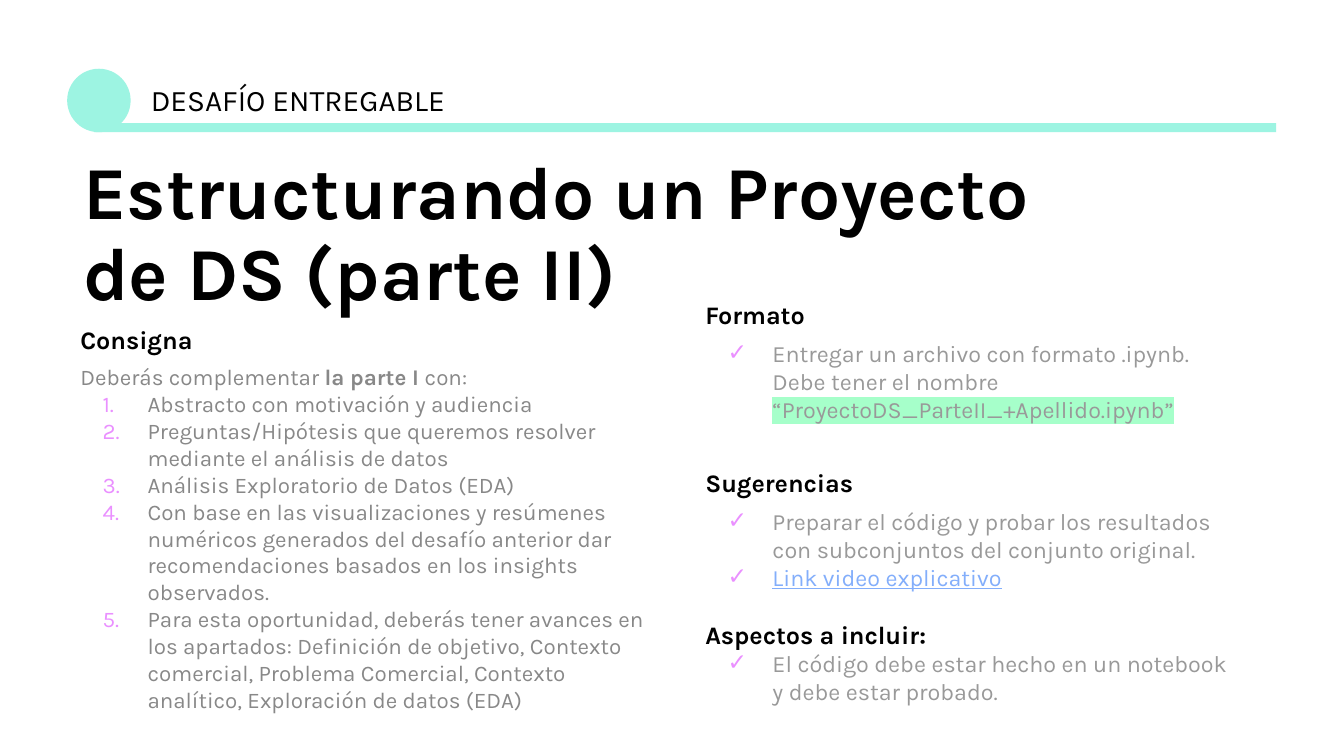
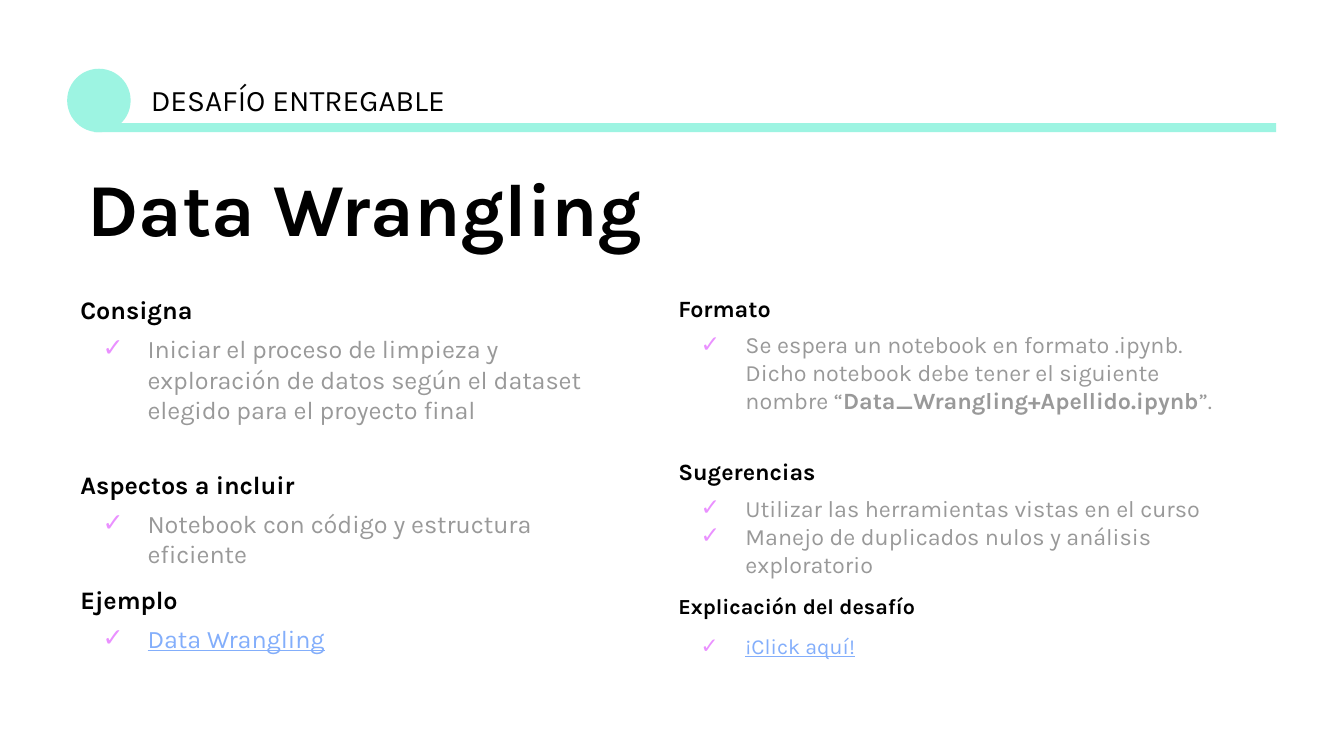
from lxml import etree
from pptx import Presentation
from pptx import util as u
from pptx.dml.color import RGBColor
from pptx.enum import shapes
from pptx.oxml import ns

MINT = RGBColor(0x9D, 0xF4, 0xE2)
PINK = RGBColor(0xEA, 0x90, 0xFF)
LIME = RGBColor(0xA6, 0xFF, 0xCA)
BLUE = RGBColor(0x83, 0xAE, 0xFB)
BLACK = RGBColor(0, 0, 0)
DARK = RGBColor(0x88, 0x88, 0x88)
GREY = RGBColor(0x99, 0x99, 0x99)
FONT = "Karla"


def add_tag(parent, tag, **attrs):
    return etree.SubElement(parent, ns.qn(tag), attrs)


def add_text(slide, place, lines):
    """Each line: kind, text, size, colour, space before; *...* is the stressed part."""
    frame = slide.shapes.add_textbox(*[u.Cm(n) for n in place]).text_frame
    frame.word_wrap = True
    frame.margin_left = frame.margin_right = u.Cm(0.25)
    frame.margin_top = frame.margin_bottom = u.Cm(0.25)
    for i, (kind, words, size, color, gap) in enumerate(lines):
        para = frame.paragraphs[0] if i == 0 else frame.add_paragraph()
        if kind in ("check", "mark", "link", "number"):
            props = para._p.get_or_add_pPr()
            props.set("marL", str(u.Cm(1.27)))
            props.set("indent", str(u.Cm(-0.85)))
            add_tag(add_tag(props, "a:buClr"), "a:srgbClr", val=str(PINK))
            add_tag(props, "a:buFont", typeface=FONT)
            if kind == "number":
                add_tag(props, "a:buAutoNum", type="arabicPeriod")
            else:
                add_tag(props, "a:buChar", char="✓")
        if gap:
            para.space_before = u.Pt(gap)
        if kind == "title":
            para.line_spacing = 0.9
        font = para.font
        font.name, font.size = FONT, u.Pt(size)
        font.color.rgb = color
        font.underline = kind == "link"
        parts = words.split("*")
        if len(parts) == 1:
            font.bold = kind in ("title", "head")
        for j, part in enumerate(parts):
            if not part:
                continue
            run = para.add_run()
            run.text = part
            if kind == "mark" and j % 2:
                light = add_tag(run._r.get_or_add_rPr(), "a:highlight")
                add_tag(light, "a:srgbClr", val=str(LIME))
            elif len(parts) > 1 and kind != "mark":
                run.font.bold = j % 2 == 1


# Content: title, its place, then the text columns
pages = [
    ("Estructurando un Proyecto de DS (parte II)", (1.32, 2.69, 20.29, 3.58), [
        ((1.27, 5.89, 11.3, 8.46), [
            ("head", "Consigna", 13.5, BLACK, 0),
            ("plain", "Deberás complementar *la parte I *con:", 12, DARK, 4.5),
            ("number", "Abstracto con motivación y audiencia", 12, DARK, 0),
            ("number", "Preguntas/Hipótesis que queremos resolver mediante el "
             "análisis de datos", 12, DARK, 0),
            ("number", "Análisis Exploratorio de Datos (EDA)", 12, DARK, 0),
            ("number", "Con base en las visualizaciones y resúmenes numéricos "
             "generados del desafío anterior dar recomendaciones basados en los "
             "insights observados.", 12, DARK, 0),
            ("number", "Para esta oportunidad, deberás tener avances en los "
             "apartados: Definición de objetivo, Contexto comercial, Problema "
             "Comercial, Contexto analítico, Exploración de datos (EDA)",
             12, DARK, 0),
        ]),
        ((13.08, 5.41, 10.64, 8.89), [
            ("head", "Formato", 13.5, BLACK, 0),
            ("mark", "Entregar un archivo con formato .ipynb. Debe tener el nombre "
             "*“ProyectoDS_ParteII_+Apellido.ipynb”*", 12.5, GREY, 5),
            ("head", "Sugerencias", 13.5, BLACK, 24),
            ("check", "Preparar el código y probar los resultados con subconjuntos "
             "del conjunto original.", 12.5, GREY, 5),
            ("link", "Link video explicativo", 12.5, BLUE, 0),
            ("head", "Aspectos a incluir:", 13.5, BLACK, 15),
            ("check", "El código debe estar hecho en un notebook y debe estar "
             "probado.", 12.5, GREY, 0),
        ]),
    ]),
    ("Data Wrangling", (1.4, 3, 20.29, 2.06), [
        ((1.27, 5.31, 10.64, 7.37), [
            ("head", "Consigna", 13.5, BLACK, 0),
            ("check", "Iniciar el proceso de limpieza y exploración de datos según "
             "el dataset elegido para el proyecto final", 13.5, GREY, 5),
            ("head", "Aspectos a incluir", 13.5, BLACK, 24),
            ("check", "Notebook con código y estructura eficiente", 13.5, GREY, 5),
            ("head", "Ejemplo", 13.5, BLACK, 8),
            ("link", "Data Wrangling", 13.5, BLUE, 5),
        ]),
        ((12.57, 5.31, 10.64, 7.49), [
            ("head", "Formato", 12.5, BLACK, 0),
            ("check", "Se espera un notebook en formato .ipynb. Dicho notebook debe "
             "tener el siguiente nombre “*Data_Wrangling+Apellido.ipynb*”.",
             12.5, GREY, 4.5),
            ("head", "Sugerencias", 12.5, BLACK, 23),
            ("check", "Utilizar las herramientas vistas en el curso",
             12.5, GREY, 4.5),
            ("check", "Manejo de duplicados nulos y análisis exploratorio",
             12.5, GREY, 0),
            ("head", "Explicación del desafío", 11.5, BLACK, 8),
            ("link", "¡Click aquí!", 11.5, BLUE, 8),
        ]),
    ]),
]

deck = Presentation()
deck.slide_width, deck.slide_height = u.Cm(25.4), u.Cm(14.29)

for title, spot, columns in pages:
    slide = deck.slides.add_slide(deck.slide_layouts[6])

    # Header band: dot, bar and label
    for form, place in (
        (shapes.MSO_SHAPE.OVAL, (1.27, 1.3, 1.2, 1.2)),
        (shapes.MSO_SHAPE.RECTANGLE, (1.78, 2.33, 22.34, 0.17)),
    ):
        shape = slide.shapes.add_shape(form, *[u.Cm(n) for n in place])
        shape.shadow.inherit = False
        shape.fill.solid()
        shape.fill.fore_color.rgb = MINT
        shape.line.fill.background()
    add_text(slide, (2.6, 1.3, 6.83, 1.2),
             [("plain", "DESAFÍO ENTREGABLE", 16, BLACK, 0)])

    # Title and columns
    add_text(slide, spot, [("title", title, 40, BLACK, 0)])
    for place, lines in columns:
        add_text(slide, place, lines)

deck.save("out.pptx")
